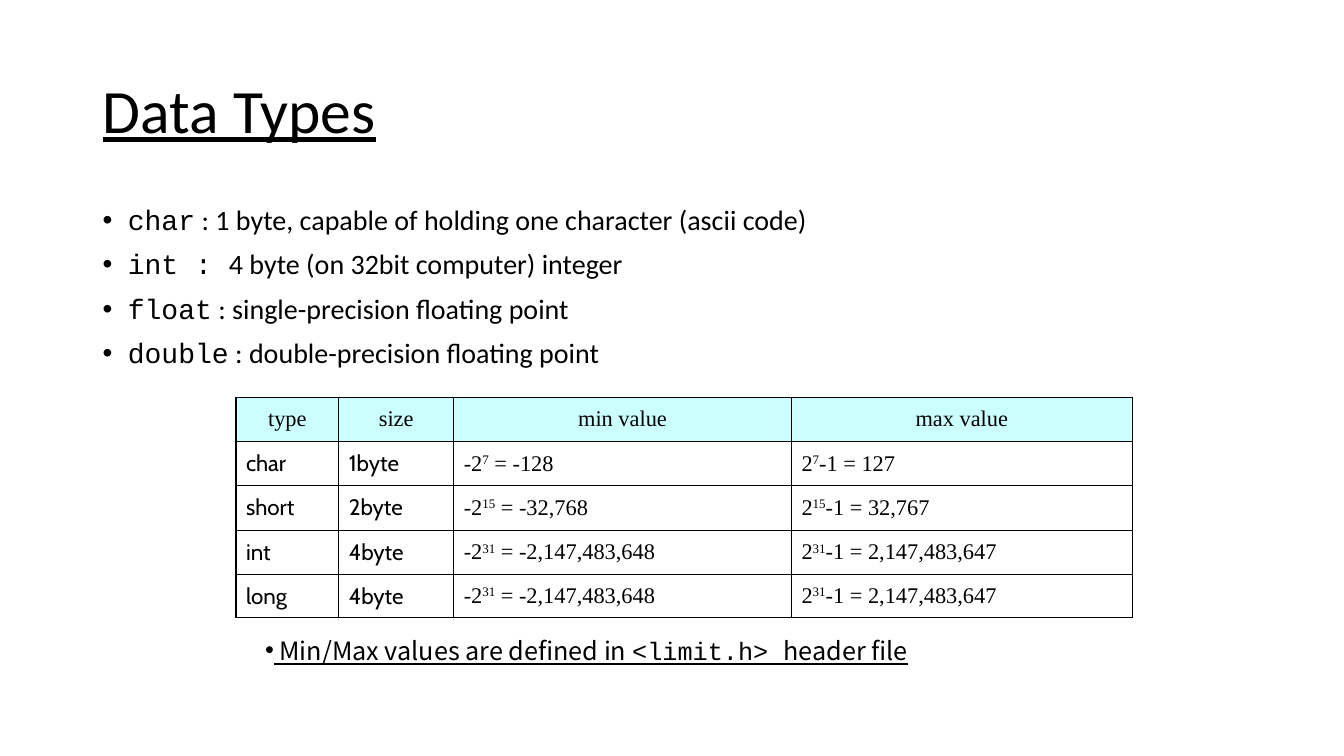
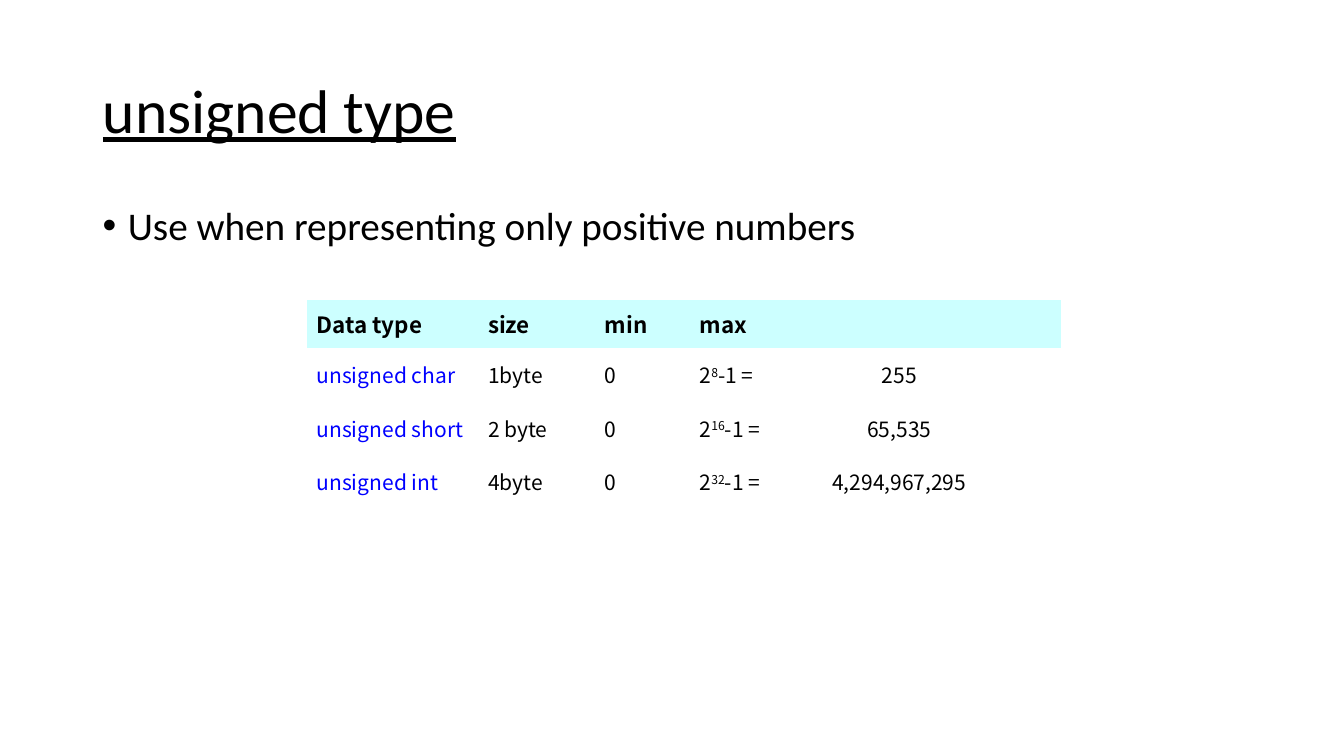
from collections import namedtuple

from lxml import etree
from pptx import Presentation
from pptx import util as u
from pptx.dml.color import RGBColor
from pptx.enum import text
from pptx.oxml.ns import qn

PX = 9144  # EMU per px, 100 px to the inch
COLORS = {"ink": "000000", "header": "CCFFFF", "type": "0000FF"}
SANS, CODE, SERIF = "Calibri", "Courier New", "Times New Roman"
LABEL, NOTE = "Cabin", "Noto Sans CJK KR"

Span = namedtuple("Span", "text font raised", defaults=(False,))


def power(font, base, exponent, rest):
    return [Span(base, font), Span(exponent, font, True), Span(rest, font)]


class Deck:
    def __init__(self):
        self.file = Presentation()
        self.file.slide_width, self.file.slide_height = 1333 * PX, 750 * PX
        self.page = None

    def add_page(self, title):
        self.page = self.file.slides.add_slide(self.file.slide_layouts[5])
        box = self.page.shapes.title
        box.left, box.top, box.width, box.height = [n * PX for n in (92, 40, 1150, 145)]
        frame = box.text_frame
        frame.auto_size = text.MSO_AUTO_SIZE.NONE
        frame.vertical_anchor = text.MSO_ANCHOR.MIDDLE
        para = frame.paragraphs[0]
        para.alignment = text.PP_ALIGN.LEFT
        para.line_spacing = 0.9
        self.add_spans(para, [Span(title, SANS)], 44, underline=True)

    def add_spans(self, para, spans, size, color="ink", bold=False, underline=False):
        for span in spans:
            run = para.add_run()
            run.text = span.text
            font = run.font
            font.name, font.size = span.font, u.Pt(size)
            font.bold, font.underline = bold, underline
            font.color.rgb = RGBColor.from_string(COLORS[color])
            if span.raised:
                run._r.get_or_add_rPr().set("baseline", "30000")

    def bullet(self, para, indent):
        props = para._p.get_or_add_pPr()
        props.set("marL", str(indent * PX))
        props.set("indent", str(-indent * PX))
        etree.SubElement(props, qn("a:buFont")).set("typeface", "Arial")
        etree.SubElement(props, qn("a:buChar")).set("char", "•")

    def text_box(self, left, top, width, height):
        box = self.page.shapes.add_textbox(left * PX, top * PX, width * PX, height * PX)
        return box.text_frame

    def add_bullets(self, lines, size):
        frame = self.text_box(92, 200, 1150, 476)
        frame.word_wrap = True
        for index, spans in enumerate(lines):
            para = frame.add_paragraph() if index else frame.paragraphs[0]
            para.line_spacing = 0.9
            para.space_before = u.Pt(10)
            self.bullet(para, 25)
            self.add_spans(para, spans, size)

    def add_note(self, left, top, width, height, spans):
        frame = self.text_box(left, top, width, height)
        frame.word_wrap = False
        frame.auto_size = text.MSO_AUTO_SIZE.SHAPE_TO_FIT_TEXT
        para = frame.paragraphs[0]
        self.bullet(para, 0)
        self.add_spans(para, spans, 18, underline=True)

    def add_table(self, left, top, columns, heights, ruled):
        """Add an empty table with a tinted header row."""
        frame = self.page.shapes.add_table(
            len(heights), len(columns), left * PX, top * PX,
            sum(columns) * PX, sum(heights) * PX)
        table = frame.table
        table.first_row = table.horz_banding = False
        for column, width in zip(table.columns, columns):
            column.width = width * PX
        for index, (row, height) in enumerate(zip(table.rows, heights)):
            row.height = height * PX
            for cell in row.cells:
                cell.vertical_anchor = text.MSO_ANCHOR.MIDDLE
                self.border(cell, ruled)
                if index == 0:
                    cell.fill.solid()
                    cell.fill.fore_color.rgb = RGBColor.from_string(COLORS["header"])
                else:
                    cell.fill.background()
        return table

    def border(self, cell, ruled):
        props = cell._tc.get_or_add_tcPr()
        for side in ("lnL", "lnR", "lnT", "lnB"):
            line = etree.SubElement(props, qn("a:" + side), w=str(u.Pt(1) if ruled else 0))
            if ruled:
                fill = etree.SubElement(line, qn("a:solidFill"))
                etree.SubElement(fill, qn("a:srgbClr")).set("val", COLORS["ink"])
            else:
                etree.SubElement(line, qn("a:noFill"))

    def fill_cell(self, cell, spans, size, align=text.PP_ALIGN.JUSTIFY, tab=None, **style):
        """Put text into a cell; tab is the place of a centred tab stop."""
        para = cell.text_frame.paragraphs[0]
        para.alignment = align
        if tab:
            stops = etree.SubElement(para._p.get_or_add_pPr(), qn("a:tabLst"))
            etree.SubElement(stops, qn("a:tab"), pos=str(tab * PX), algn="ctr")
        self.add_spans(para, spans, size, **style)


def add_data_types(deck):
    deck.add_page("Data Types")
    deck.add_bullets([[Span(name, CODE), Span(meaning, SANS)] for name, meaning in (
        ("char", " : 1 byte, capable of holding one character (ascii code)"),
        ("int : ", "4 byte (on 32bit computer) integer"),
        ("float", " : single-precision floating point"),
        ("double", " : double-precision floating point"))], 20)

    table = deck.add_table(234, 394, (102, 114, 335, 338), (44, 44, 44, 44, 43), True)
    for column, heading in enumerate(("type", "size", "min value", "max value")):
        deck.fill_cell(table.cell(0, column), [Span(heading, SERIF)], 16,
                       text.PP_ALIGN.CENTER)
    for row, (name, size, bits, low, high) in enumerate((
            ("char", "1byte", "7", "-128", "127"),
            ("short", "2byte", "15", "-32,768", "32,767"),
            ("int", "4byte", "31", "-2,147,483,648", "2,147,483,647"),
            ("long", "4byte", "31", "-2,147,483,648", "2,147,483,647")), 1):
        cells = ([Span(name, LABEL)], [Span(size, LABEL)],
                 power(SERIF, "-2", bits, " = " + low),
                 power(SERIF, "2", bits, "-1 = " + high))
        for column, spans in enumerate(cells):
            deck.fill_cell(table.cell(row, column), spans, 16)

    deck.add_note(253, 625, 675, 40, [
        Span(" Min/Max values are defined in ", NOTE),
        Span("<limit.h> ", CODE), Span("header file", NOTE)])


def add_unsigned_type(deck):
    deck.add_page("unsigned type")
    deck.add_bullets([[Span("Use when representing only positive numbers", SANS)]], 28)

    table = deck.add_table(304, 298, (170, 116, 94, 368), (47, 53, 53, 53), False)
    for column, heading in enumerate(("Data type", "size", "min", "max")):
        deck.fill_cell(table.cell(0, column), [Span(heading, NOTE)], 16, bold=True)
    for row, (name, size, bits, high) in enumerate((
            ("unsigned char", "1byte", "8", "255"),
            ("unsigned short", "2 byte", "16", "65,535"),
            ("unsigned int", "4byte", "32", "4,294,967,295")), 1):
        deck.fill_cell(table.cell(row, 0), [Span(name, NOTE)], 15, color="type")
        deck.fill_cell(table.cell(row, 1), [Span(size, NOTE)], 15)
        deck.fill_cell(table.cell(row, 2), [Span("0", NOTE)], 15)
        deck.fill_cell(table.cell(row, 3), power(NOTE, "2", bits, "-1 =\t" + high), 15,
                       tab=198)


def main():
    deck = Deck()
    add_data_types(deck)
    add_unsigned_type(deck)
    deck.file.save("out.pptx")


if __name__ == "__main__":
    main()
